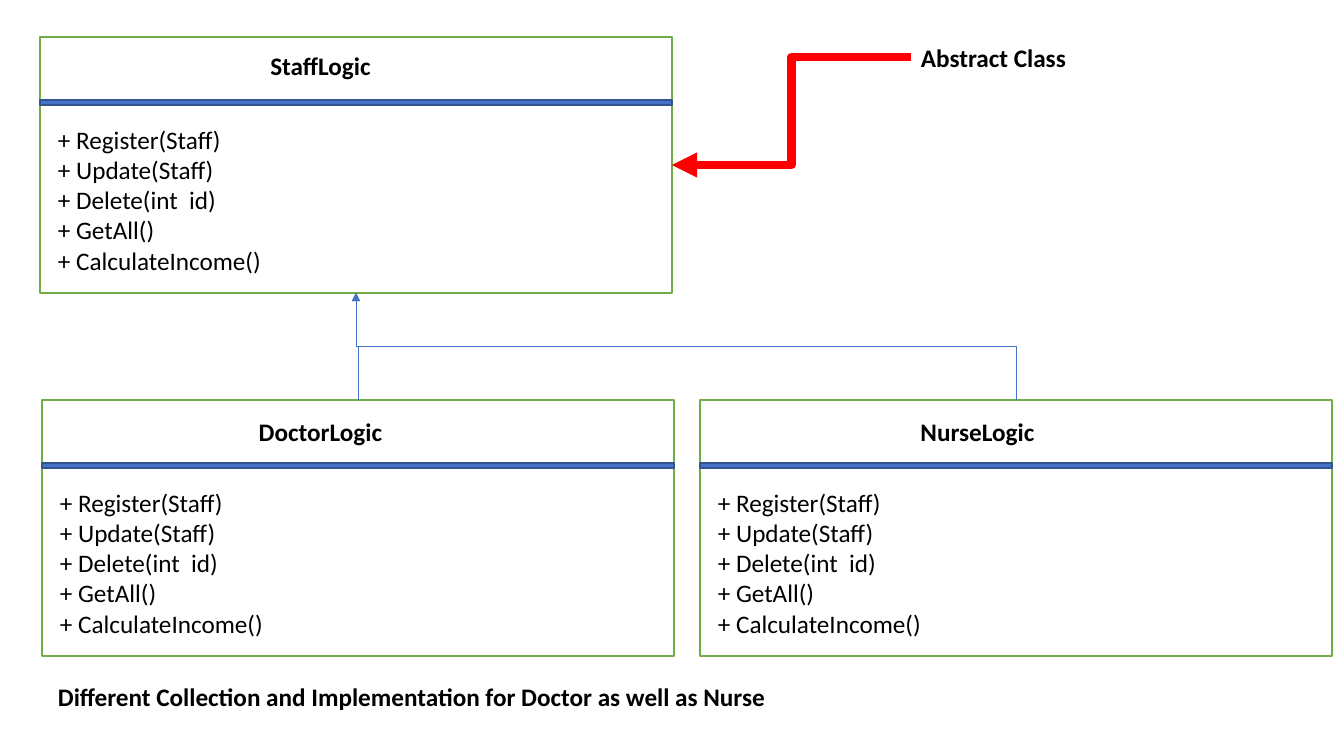
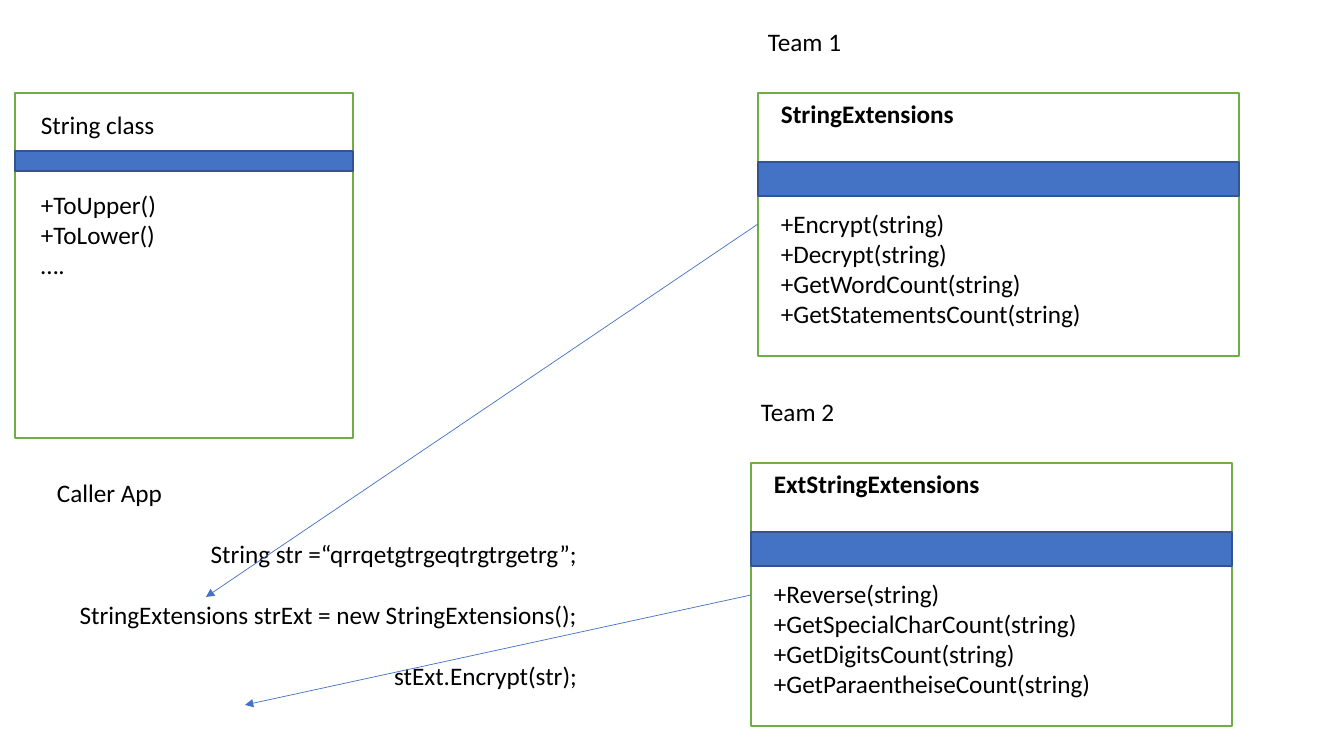
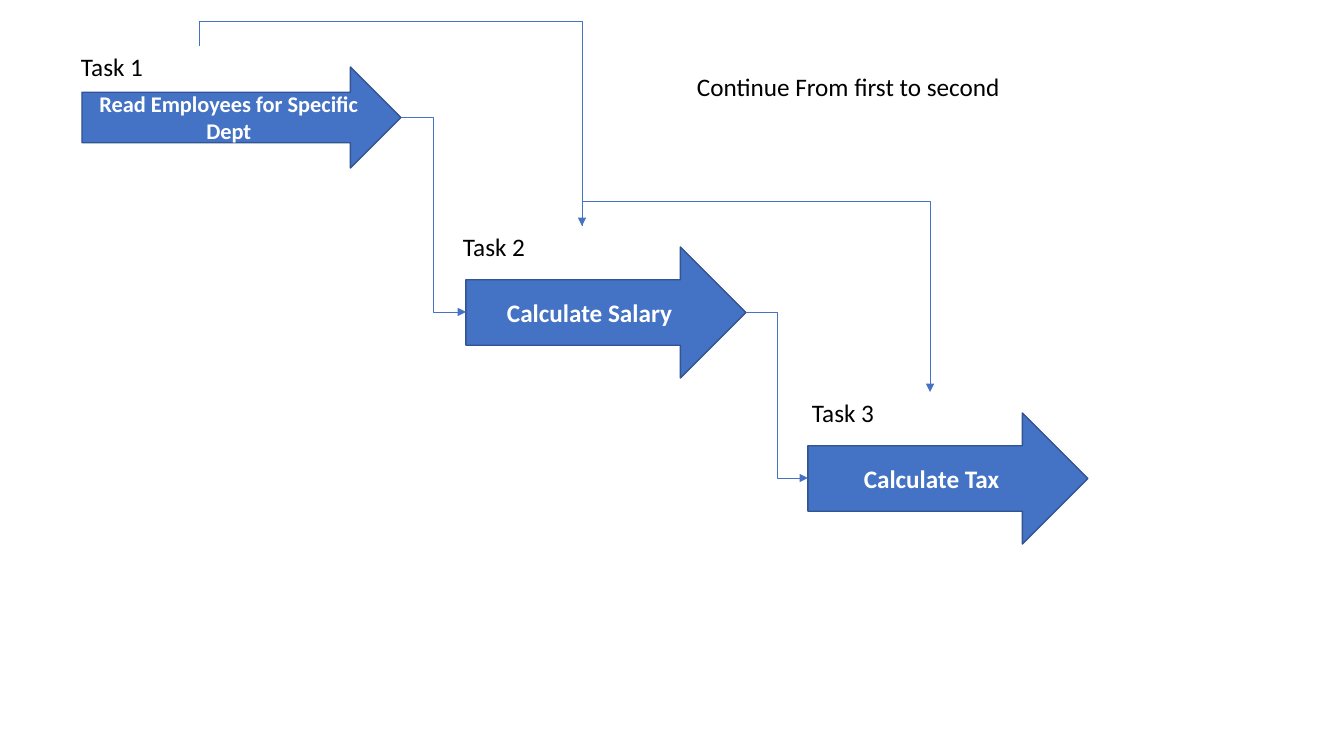
import dataclasses

import lxml.etree
import pptx
import pptx.dml.color
import pptx.enum.shapes
import pptx.enum.text
import pptx.oxml.ns
import pptx.util

PIXEL = 914400 / 100.8
FONT = "Calibri"
COLORS = {
    "paper": "FFFFFF",
    "ink": "000000",
    "border": "70AD47",
    "accent": "4472C4",
    "edge": "325491",
    "alert": "FF0000",
}
SHAPES = pptx.enum.shapes.MSO_SHAPE
ALIGN = pptx.enum.text.PP_ALIGN
STRAIGHT = pptx.enum.shapes.MSO_CONNECTOR.STRAIGHT
ELBOW = pptx.enum.shapes.MSO_CONNECTOR.ELBOW


@dataclasses.dataclass(frozen=True)
class ClassLayout:
    width: int
    height: int
    band_top: int
    band_height: int
    title_width: int
    methods_width: int
    title_align: ALIGN = ALIGN.LEFT
    title_bold: bool = True


@dataclasses.dataclass(frozen=True)
class ClassBox:
    layout: ClassLayout
    left: int
    top: int
    name: str
    title_at: tuple[int, int]
    methods: tuple[str, ...]
    methods_at: tuple[int, int]


@dataclasses.dataclass(frozen=True)
class Link:
    begin: tuple[int, int]
    end: tuple[int, int]
    kind: pptx.enum.shapes.MSO_CONNECTOR = ELBOW
    vertical: bool = False
    lift: int = 0
    color: str = "accent"
    weight: float = 0.5


@dataclasses.dataclass(frozen=True)
class Task:
    label: str
    label_at: tuple[int, int]
    action: str
    frame: tuple[int, int, int, int]
    size: int = 18


def emu(pixels: float) -> pptx.util.Emu:
    return pptx.util.Emu(round(pixels * PIXEL))


def rgb(name: str) -> pptx.dml.color.RGBColor:
    return pptx.dml.color.RGBColor.from_string(COLORS[name])


def write_para(para, text: str, *, size: int = 18, bold: bool = False,
               color: str = "ink", align: ALIGN = ALIGN.LEFT, before: int = 0) -> None:
    para.alignment = align
    para.space_before = pptx.util.Pt(before)
    span = para.add_run()
    span.text = text
    span.font.name = FONT
    span.font.size = pptx.util.Pt(size)
    span.font.bold = bold
    span.font.color.rgb = rgb(color)


def add_text(page, left: int, top: int, width: int, *lines: str, **text_format):
    box = page.shapes.add_textbox(*map(emu, (left, top, width, 10 + 30 * len(lines))))
    frame = box.text_frame
    frame.word_wrap = True
    for index, line in enumerate(lines):
        para = frame.add_paragraph() if index else frame.paragraphs[0]
        write_para(para, line, **text_format)
    return box


def add_block(page, left: int, top: int, width: int, height: int, *,
              kind: SHAPES = SHAPES.RECTANGLE, fill: str = "accent", line: str = "edge"):
    block = page.shapes.add_shape(kind, *map(emu, (left, top, width, height)))
    block.shadow.inherit = False
    block.fill.solid()
    block.fill.fore_color.rgb = rgb(fill)
    block.line.color.rgb = rgb(line)
    block.line.width = pptx.util.Pt(1)
    return block


def add_class(page, item: ClassBox) -> None:
    layout = item.layout
    add_block(page, item.left, item.top, layout.width, layout.height,
              fill="paper", line="border")
    add_block(page, item.left, item.top + layout.band_top, layout.width, layout.band_height)
    add_text(page, *item.title_at, layout.title_width, item.name,
             bold=layout.title_bold, align=layout.title_align)
    add_text(page, *item.methods_at, layout.methods_width, *item.methods)


def turn_vertical(connector, link: Link) -> None:
    (x1, y1), (x2, y2) = link.begin, link.end
    width, height = abs(y2 - y1), abs(x2 - x1)
    connector.left = emu((x1 + x2 - width) / 2)
    connector.top = emu((y1 + y2 - height) / 2)
    connector.width, connector.height = emu(width), emu(height)
    transform = connector.element.spPr.find(pptx.oxml.ns.qn("a:xfrm"))
    transform.set("rot", str(270 * 60000))
    transform.set("flipH", str(int(y2 > y1)))
    transform.set("flipV", str(int(x2 < x1)))
    if link.lift:
        guides = connector.element.spPr.find(".//" + pptx.oxml.ns.qn("a:avLst"))
        lxml.etree.SubElement(guides, pptx.oxml.ns.qn("a:gd"), name="adj1",
                              fmla=f"val {round(-100000 * link.lift / width)}")


def add_link(page, link: Link) -> None:
    connector = page.shapes.add_connector(link.kind, *map(emu, link.begin + link.end))
    if link.vertical:
        turn_vertical(connector, link)
    connector.line.color.rgb = rgb(link.color)
    connector.line.width = pptx.util.Pt(link.weight)
    outline = connector.line._get_or_add_ln()
    lxml.etree.SubElement(outline, pptx.oxml.ns.qn("a:tailEnd"), type="triangle")
    lxml.etree.SubElement(connector.element.spPr, pptx.oxml.ns.qn("a:effectLst"))


def add_task(page, task: Task) -> None:
    arrow = add_block(page, *task.frame, kind=SHAPES.RIGHT_ARROW)
    frame = arrow.text_frame
    frame.word_wrap = True
    frame.vertical_anchor = pptx.enum.text.MSO_ANCHOR.MIDDLE
    write_para(frame.paragraphs[0], task.action, size=task.size, bold=True,
               color="paper", align=ALIGN.CENTER)
    add_text(page, *task.label_at, 256, task.label)


def build_inheritance(page) -> None:
    layout = ClassLayout(632, 256, 63, 5, 369, 611, title_align=ALIGN.CENTER)
    methods = ("+ Register(Staff)", "+ Update(Staff)", "+ Delete(int  id)",
               "+ GetAll()", "+ CalculateIncome()")
    for name, left, top, title_at in (
        ("StaffLogic", 40, 37, (136, 45)),
        ("DoctorLogic", 42, 400, (136, 411)),
        ("NurseLogic", 700, 400, (793, 411)),
    ):
        add_class(page, ClassBox(layout, left, top, name, title_at,
                                 methods, (left + 8, top + 82)))
    for begin in ((358, 400), (1016, 400)):
        add_link(page, Link(begin, (356, 293), vertical=True))
    add_text(page, 48, 676, 1295,
             "Different Collection and Implementation for Doctor as well as Nurse", bold=True)
    add_text(page, 911, 37, 323, "Abstract Class", bold=True)
    add_link(page, Link((911, 57), (672, 165), color="alert", weight=6))


def build_extensions(page) -> None:
    string_layout = ClassLayout(338, 345, 58, 20, 310, 310, title_bold=False)
    add_class(page, ClassBox(string_layout, 15, 93, "String class", (31, 104),
                             ("+ToUpper()", "+ToLower()", "…."), (31, 184)))
    team_layout = ClassLayout(481, 263, 69, 34, 467, 467)
    for team, left, top, name, methods in (
        ("Team 1", 758, 93, "StringExtensions",
         ("+Encrypt(string)", "+Decrypt(string)", "+GetWordCount(string)",
          "+GetStatementsCount(string)")),
        ("Team 2", 751, 463, "ExtStringExtensions",
         ("+Reverse(string)", "+GetSpecialCharCount(string)", "+GetDigitsCount(string)",
          "+GetParaentheiseCount(string)")),
    ):
        add_class(page, ClassBox(team_layout, left, top, name, (left + 13, top),
                                 methods, (left + 13, top + 110)))
        add_text(page, left, top - 72, 408, team)
    caller = add_text(page, 47, 472, 540, "Caller App")
    for line in ("String str =“qrrqetgtrgeqtrgtrgetrg”;",
                 "StringExtensions strExt = new StringExtensions();",
                 "stExt.Encrypt(str);"):
        write_para(caller.text_frame.add_paragraph(), line, align=ALIGN.RIGHT, before=22)
    caller.height = emu(254)
    add_link(page, Link((758, 224), (206, 597), kind=STRAIGHT))
    add_link(page, Link((751, 595), (245, 705), kind=STRAIGHT))


def build_tasks(page) -> None:
    for task in (
        Task("Task 1", (71, 46), "Read Employees for Specific Dept",
             (82, 67, 319, 101), size=16),
        Task("Task 2", (453, 226), "Calculate Salary", (466, 247, 280, 131)),
        Task("Task 3", (802, 392), "Calculate Tax", (808, 413, 280, 131)),
    ):
        add_task(page, task)
    for link in (
        Link((401, 117), (466, 312)),
        Link((746, 312), (808, 478)),
        Link((199, 46), (582, 226), vertical=True, lift=25),
        Link((582, 226), (930, 392), vertical=True, lift=25),
    ):
        add_link(page, link)
    add_text(page, 687, 66, 401, "Continue From first to second")


def main() -> None:
    deck = pptx.Presentation()
    deck.slide_width, deck.slide_height = emu(1344), emu(756)
    for build in (build_inheritance, build_extensions, build_tasks):
        build(deck.slides.add_slide(deck.slide_layouts[6]))
    deck.save("out.pptx")


main()
